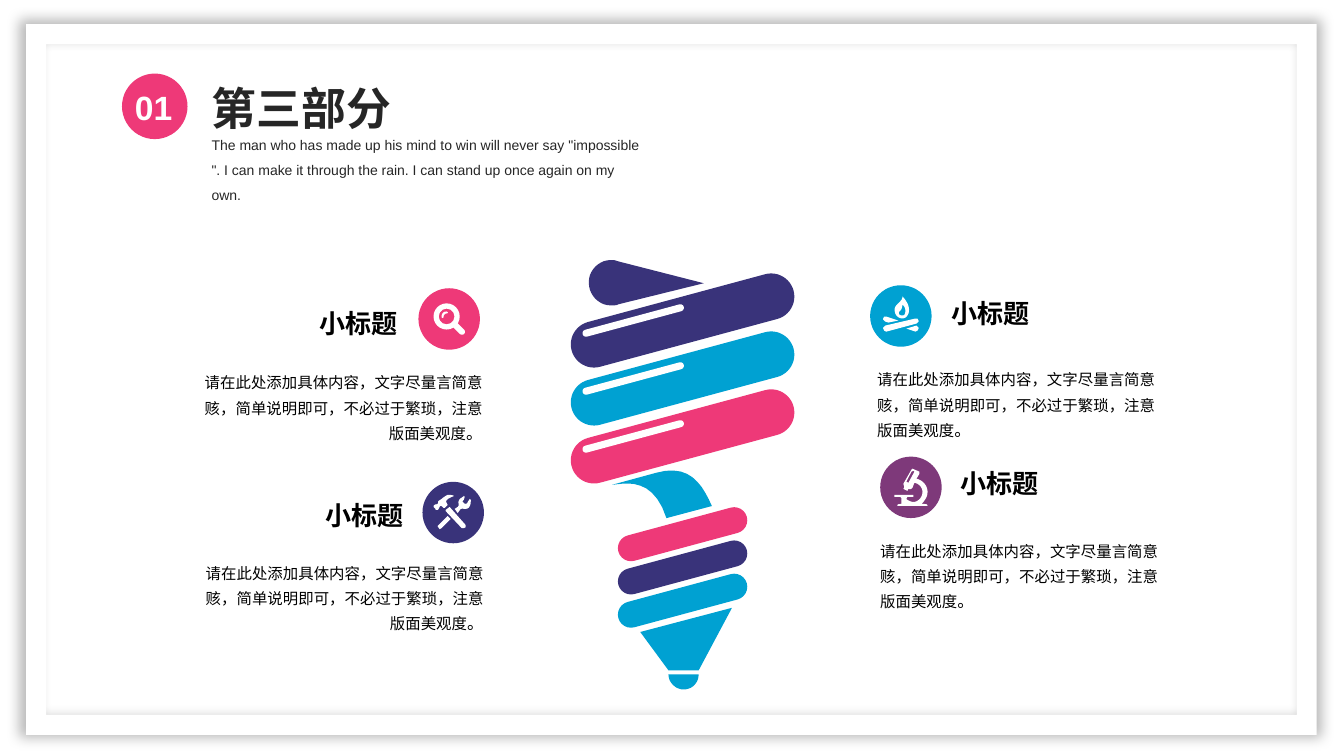
from dataclasses import dataclass
from lxml import etree
from pptx import Presentation
from pptx.dml.color import RGBColor
from pptx.enum.shapes import MSO_SHAPE
from pptx.enum.text import MSO_ANCHOR, PP_ALIGN
from pptx.oxml.ns import qn
from pptx.util import Inches, Pt

FRAME, OVAL, PILL, DONUT = (MSO_SHAPE.FRAME, MSO_SHAPE.OVAL,
                            MSO_SHAPE.ROUNDED_RECTANGLE, MSO_SHAPE.DONUT)
LEFT, RIGHT, JUSTIFY = PP_ALIGN.LEFT, PP_ALIGN.RIGHT, PP_ALIGN.JUSTIFY
TOP = MSO_ANCHOR.TOP


@dataclass(frozen=True)
class Theme:
    pink: str = "EE3978"
    navy: str = "39337A"
    blue: str = "00A1D2"
    purple: str = "7E397A"
    white: str = "FFFFFF"
    ink: str = "262626"
    black: str = "000000"
    latin: str = "Arial"
    cjk: str = "Noto Sans CJK SC"
    title: float = 32
    number: float = 24
    label: float = 18.6
    body: float = 11
    stop: float = 12
    intro: float = 10
    leading: float = 18


T = Theme()

TITLE = "第三部分"
NUMBER = "01"
INTRO = ('The man who has made up his mind to win will never say "impossible ". '
         "I can make it through the rain. I can stand up once again on my own.")
LABEL = "小标题"
BODY = "请在此处添加具体内容，文字尽量言简意赅，简单说明即可，不必过于繁琐，注意版面美观度"
STOP = "。"

TOPICS = [
    {"badge": (4.15, 2.86), "color": T.pink, "label": (3.07, 3.0), "body": (1.86, 3.61), "align": RIGHT},
    {"badge": (4.19, 4.78), "color": T.navy, "label": (3.13, 4.91), "body": (1.87, 5.5), "align": RIGHT},
    {"badge": (8.63, 2.83), "color": T.blue, "label": (9.34, 2.9), "body": (8.65, 3.58), "align": LEFT},
    {"badge": (8.73, 4.53), "color": T.purple, "label": (9.43, 4.59), "body": (8.68, 5.28), "align": LEFT},
]

BULB_X, TILT = 6.77, -15.1
BANDS = [T.navy, T.blue, T.pink]
BAND_TOP, BAND_STEP = 3.18, 0.575
RINGS = [T.pink, T.navy, T.blue]
RING_TOP, RING_STEP = 5.3, 0.33

BULB_PARTS = [
    (T.navy, [[(6.06, 2.58), (6.08, 2.58, 6.1, 2.58, 6.12, 2.59), (6.98, 2.81), (6.13, 3.02),
               (6.11, 3.03, 6.09, 3.03, 6.06, 3.03), (5.94, 3.03, 5.84, 2.93, 5.84, 2.8),
               (5.84, 2.68, 5.94, 2.58, 6.06, 2.58)]]),
    (T.blue, [[(6.51, 4.69), (6.83, 4.6, 6.96, 4.79, 7.06, 5.02), (6.61, 5.14),
               (6.48, 4.74, 6.23, 4.79, 6.07, 4.81)]]),
    (T.blue, [[(7.26, 6.03), (6.93, 6.65), (6.63, 6.65), (6.35, 6.27)]]),
    (T.blue, [[(6.93, 6.69), (6.93, 6.77, 6.87, 6.84, 6.78, 6.84),
               (6.7, 6.84, 6.63, 6.77, 6.63, 6.69)]]),
]

GLINT = [(4.43, 3.09), (4.45, 3.1, 4.44, 3.11, 4.43, 3.11), (4.41, 3.11, 4.4, 3.13, 4.4, 3.14),
         (4.4, 3.16, 4.38, 3.16, 4.38, 3.14), (4.38, 3.11, 4.4, 3.09, 4.43, 3.09)]
TOOLS = [
    [(4.36, 5.03), (4.37, 5.01, 4.38, 5.02, 4.4, 5.04), (4.41, 5.04), (4.44, 5.01),
     (4.43, 4.99), (4.4, 4.95, 4.52, 4.92, 4.5, 4.92), (4.49, 4.91, 4.45, 4.91, 4.44, 4.91),
     (4.42, 4.92, 4.39, 4.94, 4.38, 4.95), (4.35, 4.97), (4.34, 4.98, 4.35, 4.99, 4.34, 5.0),
     (4.32, 5.01, 4.32, 5.0, 4.31, 5.01), (4.3, 5.02), (4.3, 5.03), (4.32, 5.05),
     (4.32, 5.06, 4.33, 5.06, 4.34, 5.06), (4.35, 5.05)],
    [(4.46, 5.03), (4.42, 5.06), (4.42, 5.07), (4.58, 5.24), (4.6, 5.24), (4.62, 5.23), (4.62, 5.21)],
    [(4.67, 4.96), (4.66, 4.95), (4.64, 4.98), (4.64, 4.99, 4.62, 5.01, 4.6, 4.99),
     (4.58, 4.97, 4.59, 4.97, 4.6, 4.96), (4.61, 4.93), (4.6, 4.92),
     (4.6, 4.93, 4.56, 4.94, 4.55, 4.97), (4.54, 4.99, 4.56, 5.01, 4.54, 5.03),
     (4.51, 5.05), (4.54, 5.09), (4.57, 5.05), (4.58, 5.05, 4.59, 5.04, 4.6, 5.05),
     (4.64, 5.05, 4.65, 5.04, 4.66, 5.02), (4.67, 5.0, 4.67, 4.97, 4.67, 4.96)],
    [(4.35, 5.21), (4.34, 5.22), (4.36, 5.25), (4.38, 5.24), (4.47, 5.15), (4.44, 5.12)],
]
CAMPFIRE = [
    [(8.78, 3.19), (8.81, 3.2), (8.91, 3.18), (8.79, 3.14), (8.77, 3.14), (8.76, 3.16), (8.76, 3.17)],
    [(9.09, 3.23), (8.99, 3.26), (9.08, 3.29), (9.1, 3.28), (9.11, 3.26), (9.11, 3.25)],
    [(9.1, 3.16), (9.08, 3.16), (8.78, 3.23), (8.76, 3.25), (8.76, 3.26), (8.77, 3.28),
     (8.79, 3.29), (9.09, 3.21), (9.11, 3.19), (9.11, 3.18)],
    [(8.88, 3.11), (8.9, 3.16, 8.97, 3.18, 9.0, 3.13), (9.04, 3.07, 9.0, 2.99, 8.95, 2.94),
     (8.96, 3.0, 8.84, 3.02, 8.88, 3.11)],
    [(8.92, 3.09), (8.93, 3.08, 8.95, 3.07, 8.95, 3.02), (9.0, 3.06, 8.98, 3.14, 8.95, 3.13),
     (8.91, 3.13, 8.91, 3.1, 8.92, 3.09)],
]
MICROSCOPE = [
    [(9.15, 5.0), (9.14, 5.0), (9.17, 4.97, 9.2, 4.93, 9.2, 4.88),
     (9.2, 4.82, 9.15, 4.76, 9.09, 4.75), (9.12, 4.7), (9.12, 4.68), (9.05, 4.65), (9.04, 4.66),
     (8.96, 4.8), (8.97, 4.83), (8.96, 4.85), (9.0, 4.87), (9.01, 4.85),
     (9.03, 4.86, 9.04, 4.85, 9.05, 4.84), (9.07, 4.79), (9.12, 4.8, 9.15, 4.84, 9.15, 4.88),
     (9.15, 4.93, 9.11, 4.98, 9.06, 4.98), (9.04, 4.98, 9.01, 4.97, 8.99, 4.95), (9.0, 4.93),
     (9.06, 4.93), (9.06, 4.91), (8.87, 4.91), (8.87, 4.93), (8.93, 4.93), (8.94, 4.94),
     (8.94, 5.0), (8.92, 5.0, 8.9, 5.0, 8.9, 5.02), (9.2, 5.02), (9.2, 5.0, 9.18, 5.0, 9.15, 5.0)],
    [(9.07, 4.68), (9.01, 4.79), (8.99, 4.78), (9.04, 4.68), (9.06, 4.67)],
]
ICONS = [[GLINT], TOOLS, CAMPFIRE, MICROSCOPE]


def paint(shape, color):
    shape.shadow.inherit = False
    shape.fill.solid()
    shape.fill.fore_color.rgb = RGBColor.from_string(color)
    shape.line.fill.background()
    return shape


def preset(kind, x, y, w, h, color, adjust=None, turn=0):
    shape = paint(slide.shapes.add_shape(kind, *map(Inches, (x, y, w, h))), color)
    if adjust is not None:
        shape.adjustments[0] = adjust
    shape.rotation = turn
    return shape


def pill(x, y, w, h, color, turn=TILT):
    return preset(PILL, x - w / 2, y - h / 2, w, h, color, 0.5, turn)


def flatten(contour, steps=10):
    points = [contour[0]]
    for part in contour[1:]:
        if len(part) == 2:
            points.append(part)
            continue
        curve = [points[-1], part[:2], part[2:4], part[4:]]
        for step in range(1, steps + 1):
            t = step / steps
            weights = ((1 - t) ** 3, 3 * t * (1 - t) ** 2, 3 * t * t * (1 - t), t ** 3)
            points.append(tuple(sum(w * p[axis] for w, p in zip(weights, curve)) for axis in (0, 1)))
    return [(x * 1000, y * 1000) for x, y in points]


def outline(contours, color):
    builder = None
    for first, *rest in map(flatten, contours):
        if builder is None:
            builder = slide.shapes.build_freeform(*first, scale=Inches(1) / 1000)
        else:
            builder.move_to(*first)
        builder.add_line_segments(rest, close=True)
    return paint(builder.convert_to_shape(), color)


def write(box, runs, color, bold=False, latin=T.latin, inset=(0.1, 0.05), **layout):
    frame = box.text_frame
    across, down = map(Inches, inset)
    frame_format = {"word_wrap": True, "vertical_anchor": TOP, "margin_left": across,
                    "margin_right": across, "margin_top": down, "margin_bottom": down}
    for key, value in frame_format.items():
        setattr(frame, key, value)
    paragraph = frame.paragraphs[0]
    for key, value in layout.items():
        setattr(paragraph, key, value)
    for words, size in runs:
        run = paragraph.add_run()
        run.text = words
        for key, value in {"name": latin, "size": Pt(size), "bold": bold}.items():
            setattr(run.font, key, value)
        run.font.color.rgb = RGBColor.from_string(color)
        etree.SubElement(run.font._element, qn("a:ea"), typeface=T.cjk)


def textbox(x, y, w, h):
    return slide.shapes.add_textbox(*map(Inches, (x, y, w, h)))


def glow(shape):
    effects = shape._element.spPr.find(qn("a:effectLst"))
    shadow = etree.SubElement(effects, qn("a:outerShdw"), blurRad=str(Pt(9)), sx="101000",
                              sy="101000", algn="ctr", rotWithShape="0")
    shade = etree.SubElement(shadow, qn("a:srgbClr"), val=T.black)
    etree.SubElement(shade, qn("a:alpha"), val="27000")


deck = Presentation()
deck.slide_width, deck.slide_height = Inches(13.33), Inches(7.5)
slide = deck.slides.add_slide(deck.slide_layouts[5])

glow(preset(FRAME, 0.26, 0.24, 12.8, 7.05, T.white, 0.028))

heading = slide.shapes.title
for side, length in {"left": 2, "top": 0.64, "width": 3.19, "height": 0.7}.items():
    setattr(heading, side, Inches(length))
write(heading, [(TITLE, T.title)], T.ink, True, alignment=LEFT, line_spacing=1.2)
write(textbox(2, 1.22, 4.45, 0.58), [(INTRO, T.intro)], T.ink, line_spacing=Pt(T.leading))
preset(OVAL, 1.21, 0.73, 0.65, 0.65, T.pink)
write(textbox(1.24, 0.81, 0.62, 0.5), [(NUMBER, T.number)], T.white, True)

for part_color, contours in BULB_PARTS:
    outline(contours, part_color)
for row, (band, ring) in enumerate(zip(BANDS, RINGS)):
    band_y = BAND_TOP + row * BAND_STEP
    pill(BULB_X, band_y, 2.28, 0.46, band)
    pill(6.28, band_y, 1.04, 0.07, T.white)
    pill(BULB_X, RING_TOP + row * RING_STEP, 1.32, 0.26, ring)

for topic, icon in zip(TOPICS, ICONS):
    preset(OVAL, *topic["badge"], 0.61, 0.61, topic["color"])
    outline(icon, T.white)
    write(textbox(*topic["label"], 2.12, 0.41), [(LABEL, T.label)], T.black, True, T.cjk,
          alignment=JUSTIFY)
    write(textbox(*topic["body"], 2.98, 0.79), [(BODY, T.body), (STOP, T.stop)], T.black,
          inset=(0.05, 0.03), alignment=topic["align"], line_spacing=Pt(T.leading))
preset(DONUT, 4.3, 3.01, 0.26, 0.26, T.white, 0.2)
pill(4.55, 3.26, 0.15, 0.06, T.white, 45)

deck.save("out.pptx")
